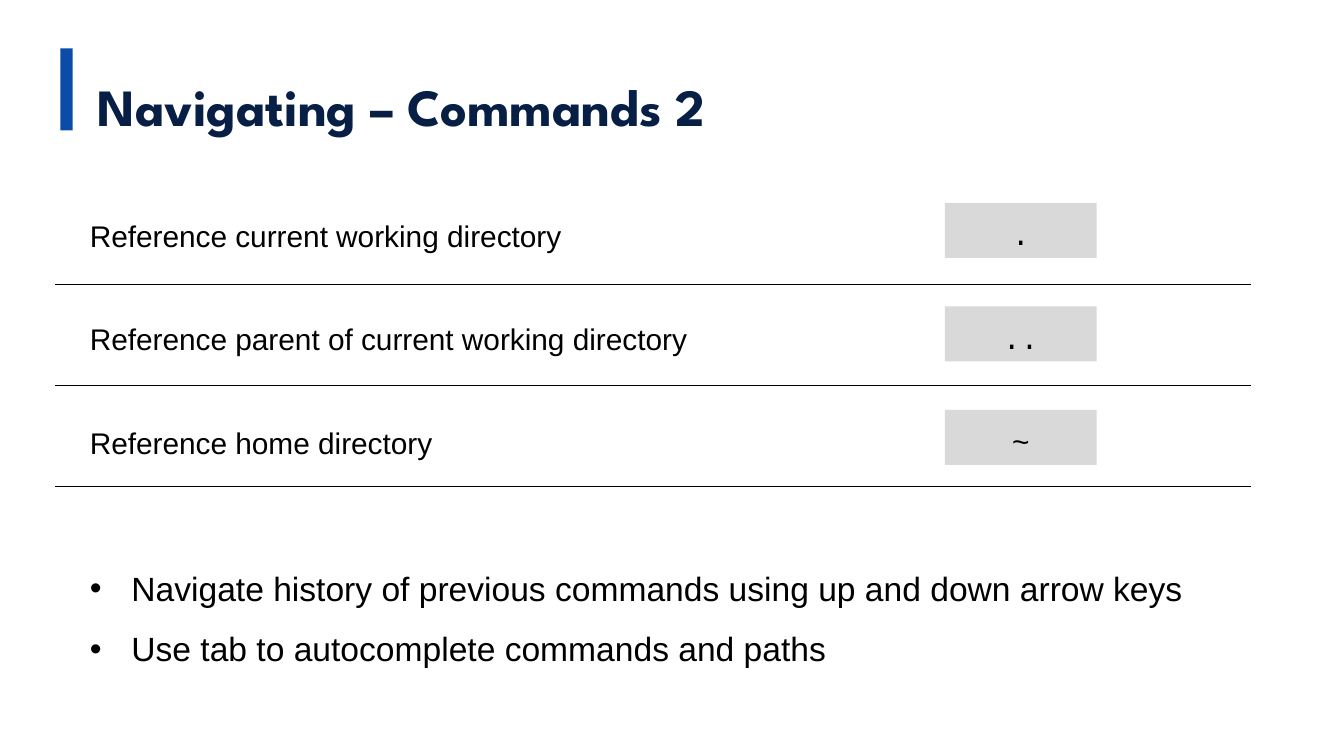
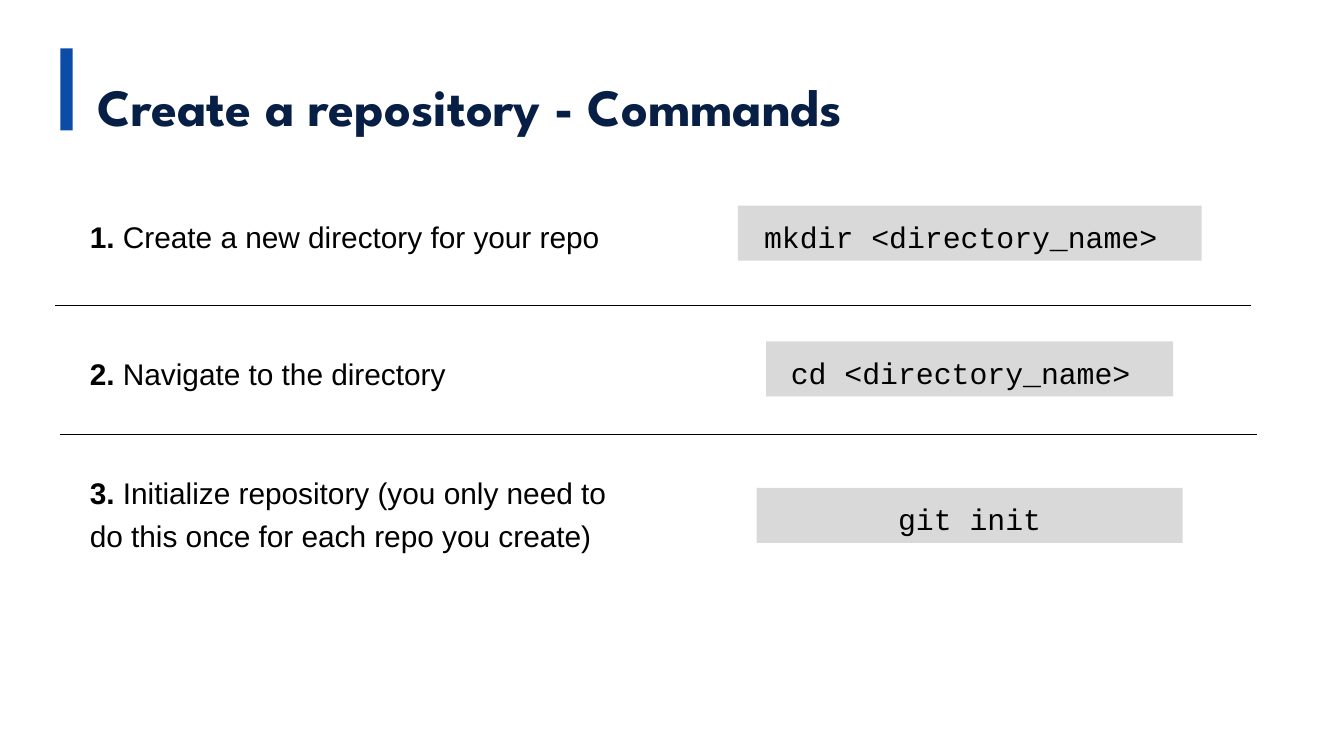
from lxml import etree
from pptx import Presentation
from pptx import util as u
from pptx.dml.color import RGBColor
from pptx.enum import shapes, text
from pptx.oxml import ns

BLUE = RGBColor(0x0A, 0x4C, 0xA8)
NAVY = RGBColor(0x07, 0x1F, 0x45)
GRAY = RGBColor(0xD9, 0xD9, 0xD9)
BLACK = RGBColor(0, 0, 0)
WHITE = RGBColor(255, 255, 255)

LEFT = 0.57
CODE_TALL = 0.41


def inches(*sizes):
    return [u.Inches(size) for size in sizes]


def add_bullet(para):
    props = para._p.get_or_add_pPr()
    props.set("marL", str(u.Inches(0.31)))
    props.set("indent", str(-u.Inches(0.31)))
    etree.SubElement(props, ns.qn("a:buFont")).set("typeface", "Arial")
    etree.SubElement(props, ns.qn("a:buChar")).set("char", "•")


def write(shape, lines, font="Arial", size=16, color=BLACK, bold=False,
          lead="", align=text.PP_ALIGN.LEFT, space=1.2, bullet=False,
          anchor=text.MSO_ANCHOR.MIDDLE):
    frame = shape.text_frame
    frame.word_wrap = True
    frame.auto_size = text.MSO_AUTO_SIZE.SHAPE_TO_FIT_TEXT
    frame.vertical_anchor = anchor
    for index, line in enumerate(lines):
        para = frame.add_paragraph() if index else frame.paragraphs[0]
        para.alignment = align
        para.line_spacing = space
        if bullet:
            add_bullet(para)
        for words, heavy in ((lead, True), (line, bold)):
            if words:
                run = para.add_run()
                run.text = words
                run.font.name = font
                run.font.size = u.Pt(size)
                run.font.color.rgb = color
                run.font.bold = heavy


def add_text(slide, box, *lines, **format):
    write(slide.shapes.add_textbox(*inches(*box)), lines, **format)


def add_block(slide, box, color):
    block = slide.shapes.add_shape(shapes.MSO_SHAPE.RECTANGLE, *inches(*box))
    block.shadow.inherit = False
    block.fill.solid()
    block.fill.fore_color.rgb = color
    block.line.fill.background()
    return block


def add_code(slide, left, top, width, code):
    block = add_block(slide, (left, top, width, CODE_TALL), GRAY)
    write(block, [code], font="Courier New", align=text.PP_ALIGN.CENTER)


def add_rule(slide, top, left=0.41):
    rule = slide.shapes.add_connector(
        shapes.MSO_CONNECTOR.STRAIGHT, *inches(left, top, left + 8.9, top))
    rule.line.color.rgb = BLACK
    rule.line.width = u.Pt(0.5)
    etree.SubElement(rule._element.spPr, ns.qn("a:effectLst"))


def add_slide(deck, title):
    slide = deck.slides.add_slide(deck.slide_layouts[6])
    slide.background.fill.solid()
    slide.background.fill.fore_color.rgb = WHITE
    add_block(slide, (0.45, 0.36, 0.09, 0.61), BLUE)
    add_text(slide, (0.63, 0.18, 7.4, 0.79), title, font="League Spartan",
             size=28, color=NAVY, bold=True, space=1.7,
             anchor=text.MSO_ANCHOR.TOP)
    return slide


def build_paths(deck):
    slide = add_slide(deck, "Navigating – Commands 2")
    rows = [
        ("Reference current working directory", 4.3, "."),
        ("Reference parent of current working directory", 5.14, ".."),
        ("Reference home directory", 4.3, "~"),
    ]
    for index, (label, width, code) in enumerate(rows):
        top = 1.51 + 0.77 * index
        add_text(slide, (LEFT, top + 0.02, width, 0.39), label)
        add_code(slide, 7.03, top, 1.13, code)
        add_rule(slide, 2.12 + 0.75 * index)
    add_text(slide, (LEFT, 4.05, 8.9, 0.95),
             "Navigate history of previous commands using up and down arrow keys",
             "Use tab to autocomplete commands and paths",
             size=18, space=1.5, bullet=True)


def build_repo(deck):
    slide = add_slide(deck, "Create a repository - Commands")
    steps = [
        ("Create a new directory for your repo", 1.54, 0.39,
         (5.49, 1.53, 3.45, "mkdir <directory_name> ")),
        ("Navigate to the directory", 2.56, 0.39,
         (5.7, 2.54, 3.03, "cd <directory_name> ")),
        ("Initialize repository (you only need to do this once for each repo"
         " you create)", 3.44, 0.72, (5.63, 3.63, 3.17, "git init")),
    ]
    for number, (label, top, tall, code) in enumerate(steps, 1):
        add_text(slide, (LEFT, top, 4.3, tall), label, lead=f"{number}. ")
        add_code(slide, *code)
    add_rule(slide, 2.27)
    add_rule(slide, 3.23, left=0.45)


def main():
    deck = Presentation()
    deck.slide_width = u.Inches(10)
    deck.slide_height = deck.slide_width * 9 // 16
    build_paths(deck)
    build_repo(deck)
    deck.save("out.pptx")


if __name__ == "__main__":
    main()
